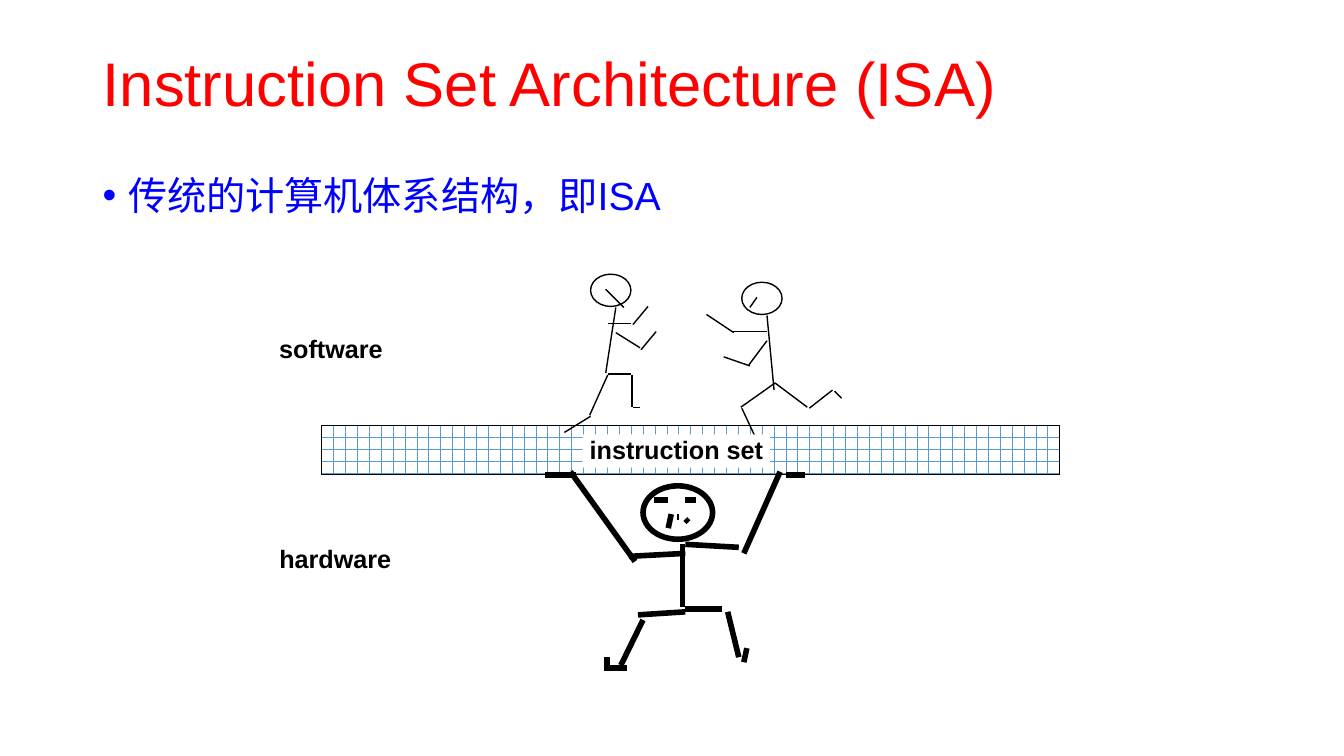
from pptx import Presentation
from pptx.dml.color import RGBColor
from pptx.enum.dml import MSO_PATTERN
from pptx.enum.shapes import MSO_CONNECTOR, MSO_SHAPE
from pptx.enum.text import MSO_ANCHOR, MSO_AUTO_SIZE, PP_ALIGN
from pptx.oxml.ns import qn
from pptx.util import Cm, Pt
from lxml.etree import SubElement

BLACK, WHITE, RED, BLUE, GRID = "000000", "FFFFFF", "FF0000", "0000FF", "5B9BD5"

LEFT_RUNNER = [
    (6.11, 3.05, 6.01, 3.7), (6.03, 3.71, 6.26, 3.71), (6.27, 3.72, 6.27, 4.04),
    (6.28, 4.04, 6.35, 4.04), (6.03, 3.72, 5.85, 4.12), (5.86, 4.13, 5.6, 4.29),
    (6.11, 3.3, 6.35, 3.45), (6.36, 3.47, 6.51, 3.29), (6.03, 3.21, 6.26, 3.21),
    (6.28, 3.22, 6.43, 3.04), (6.19, 3.05, 6.01, 2.87),
]
RIGHT_RUNNER = [
    (7.61, 3.13, 7.68, 3.87), (7.69, 3.8, 7.35, 4.04), (7.36, 4.05, 7.51, 4.37),
    (7.69, 3.8, 8.01, 4.04), (8.03, 4.05, 8.26, 3.87), (8.28, 3.88, 8.35, 3.95),
    (7.61, 3.38, 7.43, 3.62), (7.44, 3.63, 7.18, 3.54), (7.61, 3.29, 7.26, 3.29),
    (7.28, 3.3, 7.01, 3.12), (7.44, 3.05, 7.51, 2.95),
]
CARRIER = [
    (6.63, 5.24, 6.66, 5.1), (6.72, 5.13, 6.74, 5.13), (6.8, 5.15, 6.83, 5.18),
    (6.8, 4.96, 6.91, 4.96), (6.63, 4.96, 6.49, 4.96), (6.02, 6.65, 6.02, 6.52),
    (6.77, 5.4, 6.77, 6.02), (6.8, 6.04, 7.16, 6.04), (7.22, 6.07, 7.33, 6.52),
    (7.38, 6.57, 7.41, 6.43), (6.8, 6.07, 6.33, 6.1), (6.38, 6.15, 6.16, 6.6),
    (6.22, 6.63, 5.99, 6.63), (6.8, 5.4, 7.33, 5.43), (7.38, 5.49, 7.74, 4.68),
    (7.8, 4.71, 7.99, 4.71), (6.8, 5.49, 6.24, 5.52), (6.3, 5.57, 5.66, 4.68),
    (5.72, 4.71, 5.41, 4.71),
]


def rgb(code):
    """Turn a hex string into a colour."""
    return RGBColor.from_string(code)


def lengths(*inches):
    """Turn inch values into lengths."""
    return [Cm(2.54 * v) for v in inches]


def add_run(p, text, size, color, bold=False):
    """Add one formatted run to a paragraph."""
    r = p.add_run()
    r.text = text
    r.font.name, r.font.size, r.font.bold = "Arial", Pt(size), bold
    r.font.color.rgb = rgb(color)


def add_title(s, text):
    """Place and fill the title placeholder."""
    sp = s.shapes.title
    sp.left, sp.top, sp.width, sp.height = lengths(0.92, 0.4, 11.5, 0.91)
    tf = sp.text_frame
    tf.word_wrap, tf.auto_size = True, MSO_AUTO_SIZE.NONE
    tf.vertical_anchor = MSO_ANCHOR.MIDDLE
    p = tf.paragraphs[0]
    p.alignment, p.line_spacing = PP_ALIGN.LEFT, 0.9
    add_run(p, text, 44, RED)


def add_bullet(s, box, *texts):
    """Add a bulleted paragraph made of several runs."""
    tf = s.shapes.add_textbox(*lengths(*box)).text_frame
    tf.word_wrap = True
    p = tf.paragraphs[0]
    p.line_spacing = 0.9
    pPr = p._p.get_or_add_pPr()
    pPr.set("marL", str(Cm(0.64)))
    pPr.set("indent", str(-Cm(0.64)))
    SubElement(pPr, qn("a:buFont"), typeface="Arial")
    SubElement(pPr, qn("a:buChar"), char="•")
    for text in texts:
        add_run(p, text, 28, BLUE)


def add_outline(s, kind, box, width):
    """Add an unfilled preset shape with a black outline."""
    sp = s.shapes.add_shape(kind, *lengths(*box))
    sp.shadow.inherit = False
    sp.fill.background()
    sp.line.color.rgb, sp.line.width = rgb(BLACK), Pt(width)
    return sp


def add_figure(s, head, strokes, width):
    """Draw a stick figure: a round head and its strokes."""
    add_outline(s, MSO_SHAPE.OVAL, head, width)
    for stroke in strokes:
        line = s.shapes.add_connector(MSO_CONNECTOR.STRAIGHT, *lengths(*stroke))
        line.line.color.rgb, line.line.width = rgb(BLACK), Pt(width)
        SubElement(line._element.spPr, qn("a:effectLst"))


def add_label(s, text, box, spacing, fill=None):
    """Add a bold one-line label, filled if a colour is given."""
    sp = s.shapes.add_textbox(*lengths(*box))
    if fill:
        sp.fill.solid()
        sp.fill.fore_color.rgb = rgb(fill)
    tf = sp.text_frame
    tf.word_wrap, tf.auto_size = False, MSO_AUTO_SIZE.NONE
    tf.margin_left, tf.margin_right = Cm(0.18), Cm(0)
    tf.margin_top = tf.margin_bottom = Cm(0.08)
    p = tf.paragraphs[0]
    p.alignment, p.line_spacing = PP_ALIGN.LEFT, spacing
    add_run(p, text, 18, BLACK, True)


def main():
    """Build the slide and save it."""
    prs = Presentation()
    prs.slide_width, prs.slide_height = Cm(33.87), Cm(19.05)
    s = prs.slides.add_slide(prs.slide_layouts[5])
    add_title(s, "Instruction Set Architecture (ISA)")
    add_bullet(s, (0.92, 1.7, 11.5, 5.59), "传统的计算机体系结构，即", "ISA")
    bar = add_outline(s, MSO_SHAPE.RECTANGLE, (3.19, 4.22, 7.32, 0.49), 1)
    bar.fill.patterned()
    bar.fill.pattern = MSO_PATTERN.HORIZONTAL_BRICK
    bar.fill.fore_color.rgb, bar.fill.back_color.rgb = rgb(GRID), rgb(WHITE)
    add_figure(s, (5.86, 2.72, 0.4, 0.32), LEFT_RUNNER, 1)
    add_figure(s, (7.36, 2.8, 0.4, 0.32), RIGHT_RUNNER, 1)
    add_figure(s, (6.38, 4.82, 0.69, 0.53), CARRIER, 4)
    add_label(s, "instruction set", (5.78, 4.31, 1.86, 0.33), 0.92, WHITE)
    add_label(s, "software", (2.7, 3.32, 1.17, 0.31), 0.85)
    add_label(s, "hardware", (2.7, 5.4, 1.25, 0.31), 0.85)
    prs.save("out.pptx")


if __name__ == "__main__":
    main()
